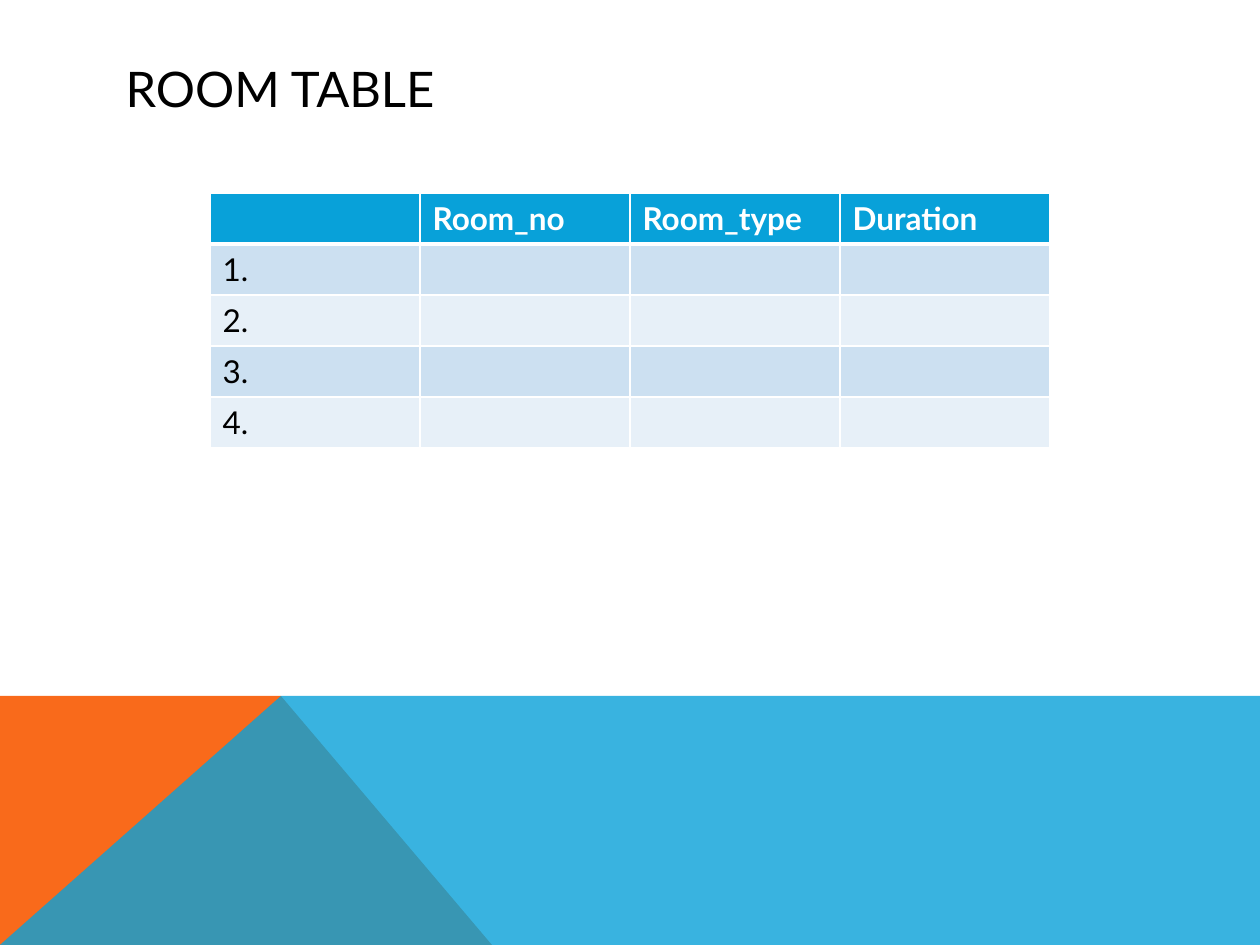
from dataclasses import dataclass

from lxml import etree
from pptx import Presentation
from pptx import util as u
from pptx.dml.color import RGBColor
from pptx.enum import text
from pptx.oxml import ns

PX = u.Inches(1) // 126
FONT = "Lato"
WHITE, BLACK, BLUE, ORANGE = "FFFFFF", "000000", "08A1D9", "F96A1B"
BANDS = ("CCE0F1", "E7F0F8")
HEADERS = ("", "Room_no", "Room_type", "Duration")
ROOMS = ("1.", "2.", "3.", "4.")
COLUMN_W, ROW_H = 210, 51


@dataclass
class Wedge:
    points: list[tuple[int, int]]
    color: str
    opacity: int = 100


def paint(fill, color: str) -> None:
    fill.solid()
    fill.fore_color.rgb = RGBColor.from_string(color)


def style(paragraph, size: int, color: str, bold: bool = False) -> None:
    font = paragraph.font
    font.name, font.size, font.bold = FONT, u.Pt(size), bold
    paint(font.fill, color)


def draw_wedge(shapes, wedge: Wedge) -> None:
    builder = shapes.build_freeform(*wedge.points[0], scale=PX)
    builder.add_line_segments(wedge.points[1:], close=True)
    shape = builder.convert_to_shape()
    shape.shadow.inherit = False
    shape.line.fill.background()
    paint(shape.fill, wedge.color)
    if wedge.opacity < 100:
        color = shape.fill._xPr.find(".//" + ns.qn("a:srgbClr"))
        etree.SubElement(color, ns.qn("a:alpha"), val=str(wedge.opacity * 1000))


def add_border(cell, side: str, points: int) -> None:
    line = etree.SubElement(cell._tc.get_or_add_tcPr(), ns.qn(f"a:ln{side}"),
                            w=str(u.Pt(points)))
    fill = etree.SubElement(line, ns.qn("a:solidFill"))
    etree.SubElement(fill, ns.qn("a:srgbClr"), val=WHITE)


def fill_cell(cell, row: int, label: str) -> None:
    header = row == 0
    widths = {"L": 1, "R": 1, "T": 3 if row == 1 else 1, "B": 3 if header else 1}
    for side, points in widths.items():
        add_border(cell, side, points)
    paint(cell.fill, BLUE if header else BANDS[(row - 1) % 2])
    cell.text = label
    style(cell.text_frame.paragraphs[0], 18, WHITE if header else BLACK, header)


prs = Presentation()
prs.slide_width, prs.slide_height = 1260 * PX, 945 * PX
slide = prs.slides.add_slide(prs.slide_layouts[5])
paint(slide.background.fill, WHITE)

# Title
title = slide.shapes.title
title.left, title.top, title.width, title.height = (n * PX for n in (113, 50, 1036, 76))
title.text = "ROOM TABLE"
title.text_frame.vertical_anchor = text.MSO_ANCHOR.MIDDLE
heading = title.text_frame.paragraphs[0]
heading.alignment = text.PP_ALIGN.LEFT
style(heading, 28, BLACK)

# Footer wedges
for wedge in (
    Wedge([(0, 945), (0, 696), (281, 696), (492, 945)], ORANGE),
    Wedge([(0, 945), (281, 696), (1260, 696), (1260, 945)], BLUE, 80),
):
    draw_wedge(slide.shapes, wedge)

# Room table
records = [HEADERS] + [(room, "", "", "") for room in ROOMS]
rooms = slide.shapes.add_table(
    len(records), len(HEADERS), 210 * PX, 193 * PX,
    COLUMN_W * len(HEADERS) * PX, ROW_H * len(records) * PX).table
for r, record in enumerate(records):
    for c, label in enumerate(record):
        fill_cell(rooms.cell(r, c), r, label)

prs.save("out.pptx")
